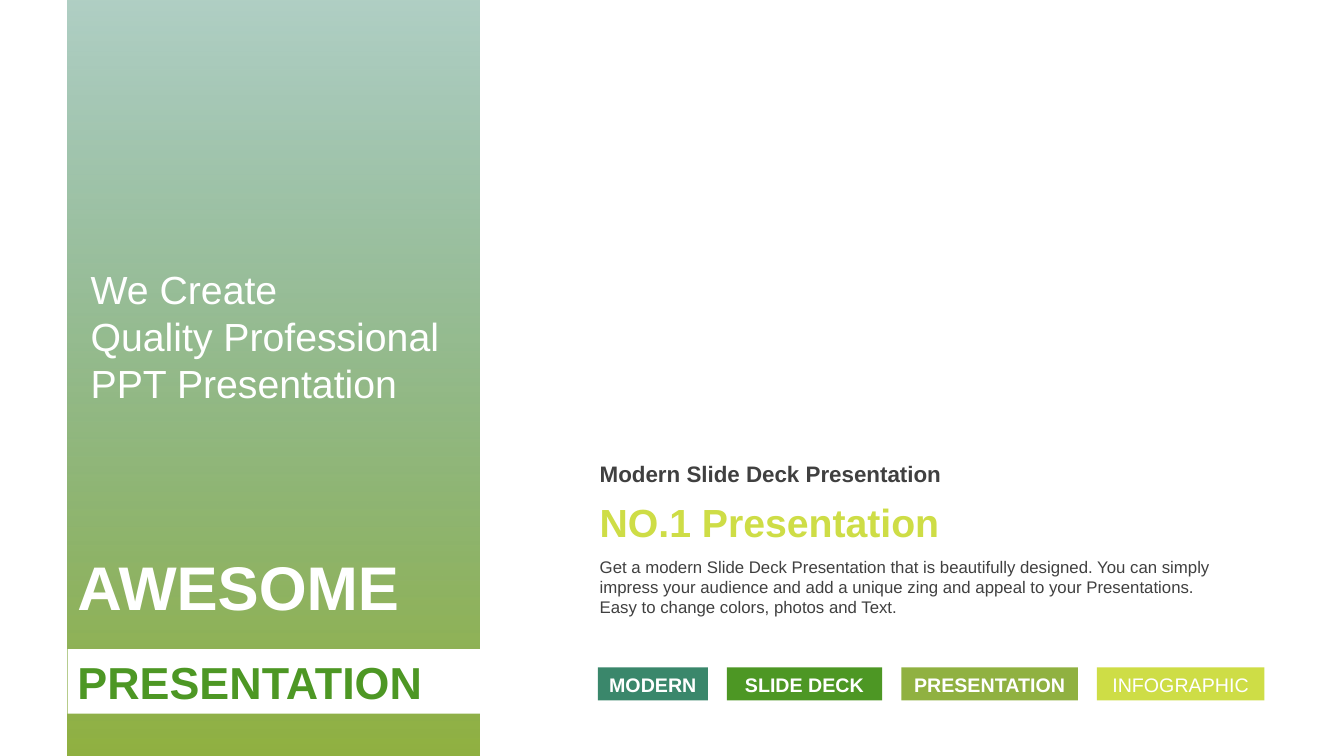
from lxml import etree
from pptx import Presentation
from pptx.dml.color import RGBColor
from pptx.enum.shapes import MSO_SHAPE
from pptx.enum.text import MSO_ANCHOR, PP_ALIGN
from pptx.oxml.ns import qn
from pptx.util import Inches, Pt

TEAL, GREEN, OLIVE, LIME = "3A876B", "4D9724", "90B141", "CEDD46"
WHITE, DARK = "FFFFFF", "404040"


def color(hex_value):
    return RGBColor.from_string(hex_value)


def add_rectangle(slide, left, top, width, height, fill=None):
    shape = slide.shapes.add_shape(MSO_SHAPE.RECTANGLE, Inches(left), Inches(top),
                                   Inches(width), Inches(height))
    shape.shadow.inherit = False
    shape.line.fill.background()
    if fill:
        shape.fill.solid()
        shape.fill.fore_color.rgb = color(fill)
    return shape


def set_text(shape, text, size, hex_value, bold=False, align=PP_ALIGN.LEFT,
             anchor=MSO_ANCHOR.TOP, wrap=True):
    frame = shape.text_frame
    frame.word_wrap = wrap
    frame.vertical_anchor = anchor
    frame.text = text
    for paragraph in frame.paragraphs:
        paragraph.alignment = align
        for run in paragraph.runs:
            run.font.name = "Arial"
            run.font.size = Pt(size)
            run.font.bold = bold
            run.font.color.rgb = color(hex_value)
    return frame


def add_text(slide, left, top, width, height, text, size, hex_value, **style):
    box = slide.shapes.add_textbox(Inches(left), Inches(top), Inches(width), Inches(height))
    return set_text(box, text, size, hex_value, **style)


def add_title_panel(slide, left, top, width, height):
    # Gradient background, translucent at the top
    panel = add_rectangle(slide, left, top, width, height)
    panel.fill.gradient()
    panel.fill.gradient_angle = 270
    for stop, hex_value in zip(panel.fill.gradient_stops, (TEAL, OLIVE)):
        stop.color.rgb = color(hex_value)
    first_color = next(panel.element.iter(qn("a:srgbClr")))
    etree.SubElement(first_color, qn("a:alpha"), val="40000")

    # Slogan
    slogan = add_text(slide, left + 0.19, top + 2.63, width - 0.38, 1.41,
                      "We Create\nQuality Professional\nPPT Presentation", 28, WHITE,
                      anchor=MSO_ANCHOR.MIDDLE)
    slogan.margin_left = slogan.margin_right = Inches(0.04)
    slogan.margin_top = slogan.margin_bottom = 0

    # Title and white band
    title_style = dict(bold=True, align=PP_ALIGN.JUSTIFY, anchor=MSO_ANCHOR.MIDDLE)
    add_text(slide, left, top + 5.39, width, 0.84, "AWESOME", 44, WHITE, **title_style)
    band = add_rectangle(slide, left, top + 6.44, width, 0.64, WHITE)
    set_text(band, "PRESENTATION", 32, GREEN, **title_style)


def add_description(slide, left, top, width):
    add_text(slide, left, top, width, 0.37, "Modern Slide Deck Presentation", 16, DARK, bold=True)
    add_text(slide, left, top + 0.37, width, 0.57, "NO.1 Presentation", 28, LIME, bold=True)
    add_text(slide, left, top + 0.95, width, 0.71,
             "Get a modern Slide Deck Presentation that is beautifully designed. "
             "You can simply impress your audience and add a unique zing and appeal "
             "to your Presentations. Easy to change colors, photos and Text.", 12, DARK)


def add_tags(slide, left, top, height, gap=0.19):
    tags = [("MODERN", 1.09, TEAL, True), ("SLIDE DECK", 1.54, GREEN, True),
            ("PRESENTATION", 1.75, OLIVE, True), ("INFOGRAPHIC", 1.66, LIME, False)]
    for label, width, fill, bold in tags:
        tag = add_rectangle(slide, left, top, width, height, fill)
        frame = set_text(tag, label, 14, WHITE, bold=bold, align=PP_ALIGN.CENTER,
                         anchor=MSO_ANCHOR.MIDDLE, wrap=False)
        frame.margin_top = Inches(0.1)
        frame.paragraphs[0].line_spacing = 0.9
        left += width + gap


def main():
    presentation = Presentation()
    presentation.slide_width = Inches(13.33)
    presentation.slide_height = Inches(7.5)
    slide = presentation.slides.add_slide(presentation.slide_layouts[6])
    add_title_panel(slide, 0.67, 0, 4.09, 7.5)
    add_description(slide, 5.85, 4.52, 6.44)
    add_tags(slide, 5.93, 6.62, 0.33)
    presentation.save("out.pptx")


if __name__ == "__main__":
    main()
